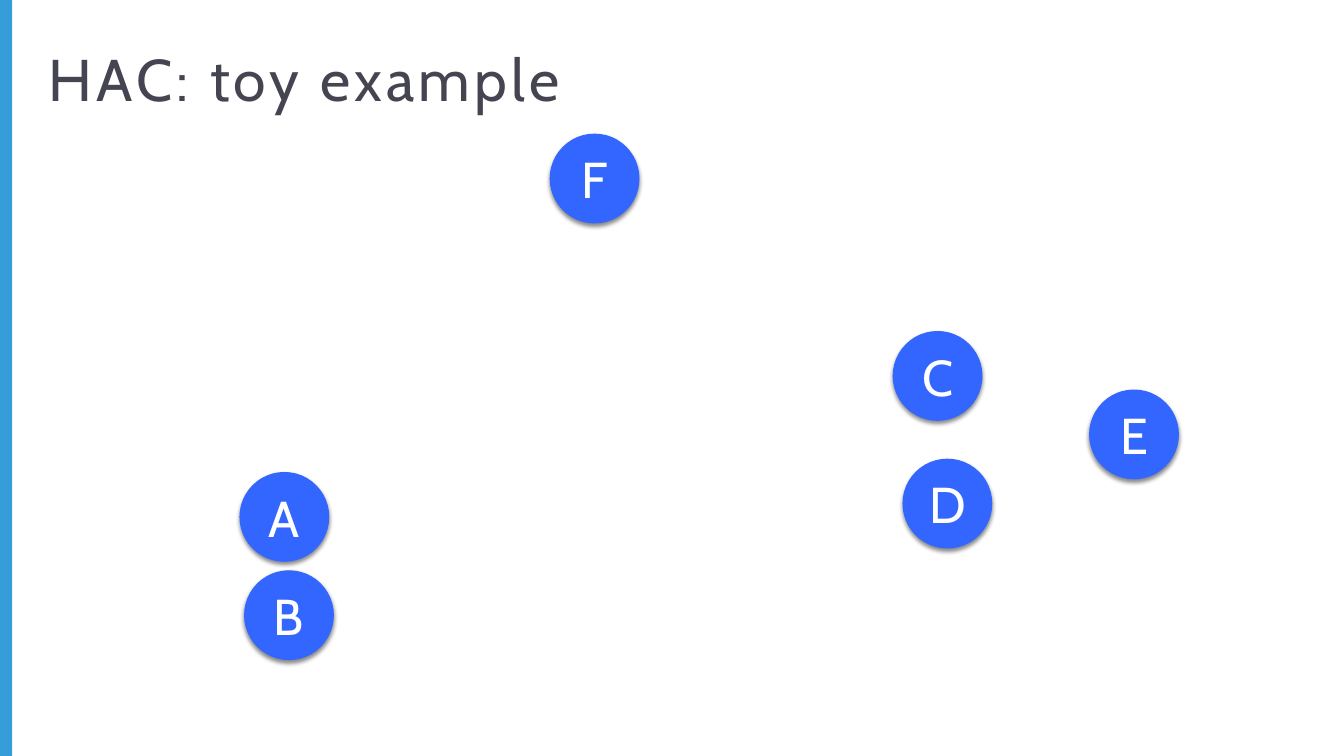
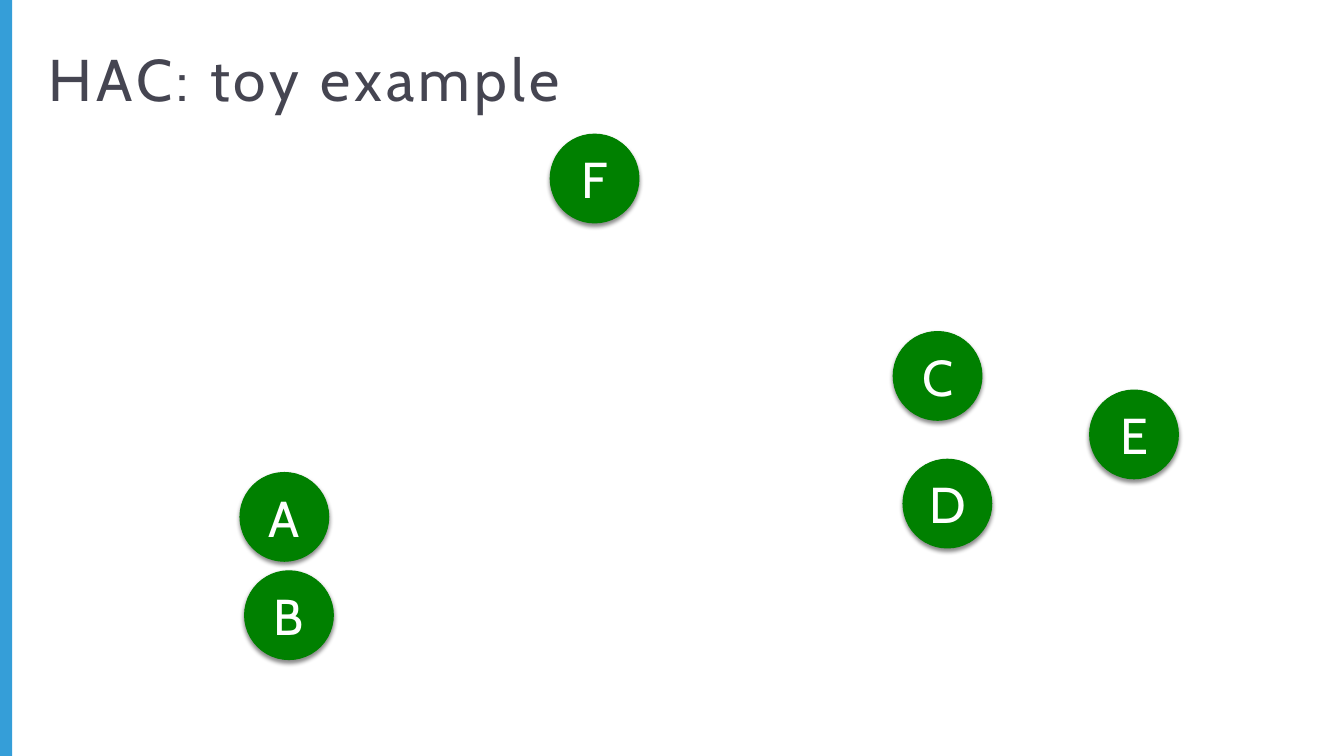
"""Build two slides of a hierarchical clustering toy example."""
from dataclasses import dataclass

from lxml import etree
from pptx import Presentation
from pptx.dml.color import RGBColor
from pptx.enum.shapes import MSO_SHAPE
from pptx.enum.text import MSO_ANCHOR, MSO_AUTO_SIZE, PP_ALIGN
from pptx.oxml.ns import qn
from pptx.shapes.autoshape import Shape
from pptx.slide import Slide, SlideLayout
from pptx.text.text import _Paragraph
from pptx.util import Pt

RECTANGLE = MSO_SHAPE.RECTANGLE
OVAL = MSO_SHAPE.OVAL
CENTER = PP_ALIGN.CENTER
LEFT = PP_ALIGN.LEFT
TOP = MSO_ANCHOR.TOP
MIDDLE = MSO_ANCHOR.MIDDLE
NO_AUTOFIT = MSO_AUTO_SIZE.NONE

SLIDE_WIDTH, SLIDE_HEIGHT = 960, 540
BAND_WIDTH = 8.64
POINT_DIAMETER = 63.4
FONT = "Cabin"
BAND_COLOR = "359ED8"
TITLE_COLOR = "454551"
LABEL_COLOR = "FFFFFF"
POINT_COLORS = ("3366FF", "008000")
TITLE = "HAC: toy example"


@dataclass(frozen=True)
class DataPoint:
    label: str
    left: float
    top: float


DATA_POINTS = (
    DataPoint("A", 171.4, 337.5),
    DataPoint("D", 645, 328),
    DataPoint("E", 778.3, 278.6),
    DataPoint("B", 174.7, 407.7),
    DataPoint("C", 638, 236.8),
    DataPoint("F", 393, 95.8),
)


def color(value: str) -> RGBColor:
    return RGBColor.from_string(value)


def add_text(paragraph: _Paragraph, text: str, size: float, text_color: str, spacing: float = 0) -> None:
    run = paragraph.add_run()
    run.text = text
    run.font.name = FONT
    run.font.size = Pt(size)
    run.font.color.rgb = color(text_color)
    if spacing:
        run.font._element.set("spc", str(round(spacing * 100)))


def add_shadow(shape: Shape) -> None:
    effects = shape._element.spPr.find(qn("a:effectLst"))
    shadow = etree.SubElement(
        effects, qn("a:outerShdw"),
        blurRad=str(Pt(3)), dist=str(Pt(2)), dir="5400000", rotWithShape="0",
    )
    shadow_color = etree.SubElement(shadow, qn("a:srgbClr"), val="000000")
    etree.SubElement(shadow_color, qn("a:alpha"), val="45000")


def add_band(slide: Slide, layout: SlideLayout) -> None:
    band = slide.shapes.add_shape(RECTANGLE, Pt(0), Pt(0), Pt(BAND_WIDTH), Pt(SLIDE_HEIGHT))
    band.shadow.inherit = False
    band.fill.solid()
    band.fill.fore_color.rgb = color(BAND_COLOR)
    band.line.fill.background()
    layout.shapes._spTree.insert(2, band._element)


def format_title(slide: Slide) -> None:
    title = slide.shapes.title
    title.left, title.top, title.width, title.height = Pt(31), Pt(26.6), Pt(845.3), Pt(77.8)
    frame = title.text_frame
    frame.auto_size = NO_AUTOFIT
    frame.word_wrap = True
    frame.vertical_anchor = TOP
    frame.margin_left = Pt(3.6)
    paragraph = frame.paragraphs[0]
    paragraph.alignment = LEFT
    add_text(paragraph, TITLE, 42, TITLE_COLOR, spacing=3)


def add_data_point(slide: Slide, point: DataPoint, fill_color: str) -> None:
    circle = slide.shapes.add_shape(
        OVAL, Pt(point.left), Pt(point.top), Pt(POINT_DIAMETER), Pt(POINT_DIAMETER)
    )
    circle.shadow.inherit = False
    circle.fill.solid()
    circle.fill.fore_color.rgb = color(fill_color)
    circle.line.color.rgb = color(fill_color)
    circle.line.width = Pt(0.75)
    add_shadow(circle)
    frame = circle.text_frame
    frame.vertical_anchor = MIDDLE
    paragraph = frame.paragraphs[0]
    paragraph.alignment = CENTER
    add_text(paragraph, point.label, 36, LABEL_COLOR)


def main() -> None:
    presentation = Presentation()
    presentation.slide_width = Pt(SLIDE_WIDTH)
    presentation.slide_height = Pt(SLIDE_HEIGHT)
    layout = presentation.slide_layouts.get_by_name("Title Only")
    slides = [presentation.slides.add_slide(layout) for _ in POINT_COLORS]
    add_band(slides[0], layout)
    for slide, fill_color in zip(slides, POINT_COLORS):
        format_title(slide)
        for point in DATA_POINTS:
            add_data_point(slide, point, fill_color)
    presentation.save("out.pptx")


if __name__ == "__main__":
    main()
